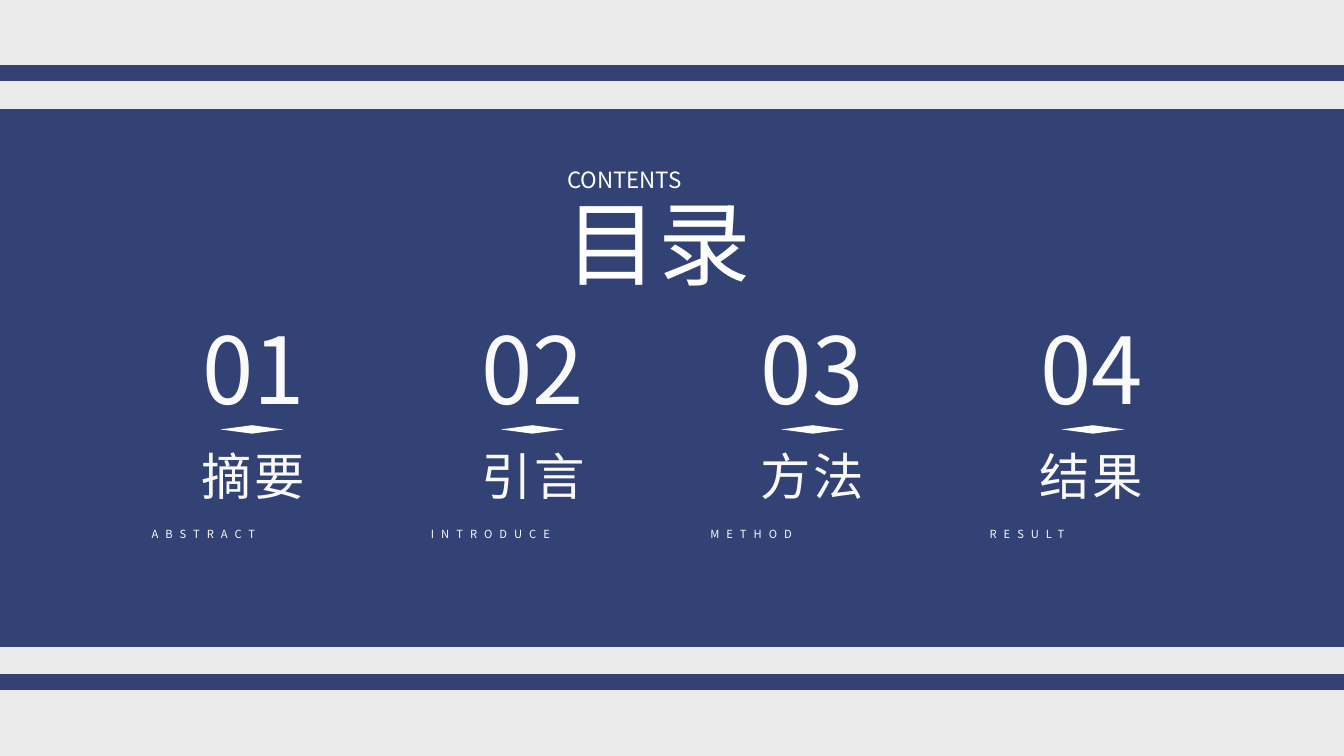
"""Build a contents slide with four numbered sections."""
from lxml import etree
from pptx import Presentation
from pptx.dml.color import RGBColor
from pptx.enum.shapes import MSO_SHAPE
from pptx.enum.text import MSO_ANCHOR, PP_ALIGN
from pptx.oxml.ns import qn
from pptx.util import Emu, Pt

EMU_PER_PX = 9525
WIDTH, HEIGHT = 1280, 720
RECTANGLE, DIAMOND = MSO_SHAPE.RECTANGLE, MSO_SHAPE.DIAMOND
CENTER, JUSTIFY = PP_ALIGN.CENTER, PP_ALIGN.JUSTIFY
TOP, MIDDLE = MSO_ANCHOR.TOP, MSO_ANCHOR.MIDDLE
SANS_SC, SANS_JP = "Noto Sans CJK SC", "Noto Sans CJK JP"
COLORS = {"paper": "EBEAEA", "navy": "324274", "white": "FFFFFF", "soft": "FAFAFA"}
SECTIONS = [("01", "摘要", "ABSTRACT"), ("02", "引言", "INTRODUCE"),
            ("03", "方法", "METHOD"), ("04", "结果", "RESULT")]
COLUMN_STEP, DIAMOND_STEP = 266, 267


def px(length):
    """Turn pixels into EMU."""
    return Emu(length * EMU_PER_PX)


def color(name):
    """Look up a named colour."""
    return RGBColor.from_string(COLORS[name])


def add_block(page, kind, bounds, fill):
    """Add a filled shape without outline."""
    block = page.shapes.add_shape(kind, *map(px, bounds))
    block.shadow.inherit = False
    block.fill.solid()
    block.fill.fore_color.rgb = color(fill)
    block.line.fill.background()


def add_label(page, text, bounds, size, ink="soft", align=CENTER, font=SANS_SC,
              tracking=0, leading=None, after=None, anchor=TOP, inset=None):
    """Add a one-line text box."""
    frame = page.shapes.add_textbox(*map(px, bounds)).text_frame
    frame.word_wrap = True
    frame.vertical_anchor = anchor
    if inset is not None:
        frame.margin_left = px(inset)
    frame.text = text
    para = frame.paragraphs[0]
    para.alignment = align
    if leading:
        para.line_spacing = Pt(leading)
    if after:
        para.space_after = Pt(after)
    span = para.runs[0]
    span.font.size = Pt(size)
    span.font.color.rgb = color(ink)
    span.font.name = font
    properties = span.font._element
    etree.SubElement(properties, qn("a:ea")).set("typeface", font)
    if tracking:
        properties.set("spc", str(tracking * 100))


def add_section(page, index, number, title, caption):
    """Add one column of the contents."""
    shift = index * COLUMN_STEP
    add_label(page, number, (153 + shift, 293, 177, 116), 66)
    add_label(page, title, (104 + shift, 450, 275, 37), 36,
              tracking=2, leading=20, after=10)
    add_label(page, caption, (135 + shift, 491, 216, 36), 8,
              align=JUSTIFY, tracking=5, anchor=MIDDLE)
    add_block(page, DIAMOND, (210 + index * DIAMOND_STEP, 405, 60, 8), "white")


def main():
    """Build and save the deck."""
    deck = Presentation()
    deck.slide_width, deck.slide_height = px(WIDTH), px(HEIGHT)
    page = deck.slides.add_slide(deck.slide_layouts[6])
    page.background.fill.solid()
    page.background.fill.fore_color.rgb = color("paper")
    for top, height in ((104, 512), (62, 15), (642, 15)):
        add_block(page, RECTANGLE, (0, top, WIDTH, height), "navy")
    for index, section in enumerate(SECTIONS):
        add_section(page, index, *section)
    add_label(page, "CONTENTS", (525, 152, 212, 36), 16, "white", JUSTIFY,
              leading=20, inset=15)
    add_label(page, "目录", (529, 211, 223, 77), 66, "white", JUSTIFY, SANS_JP,
              tracking=1, leading=50)
    deck.save("out.pptx")


if __name__ == "__main__":
    main()
